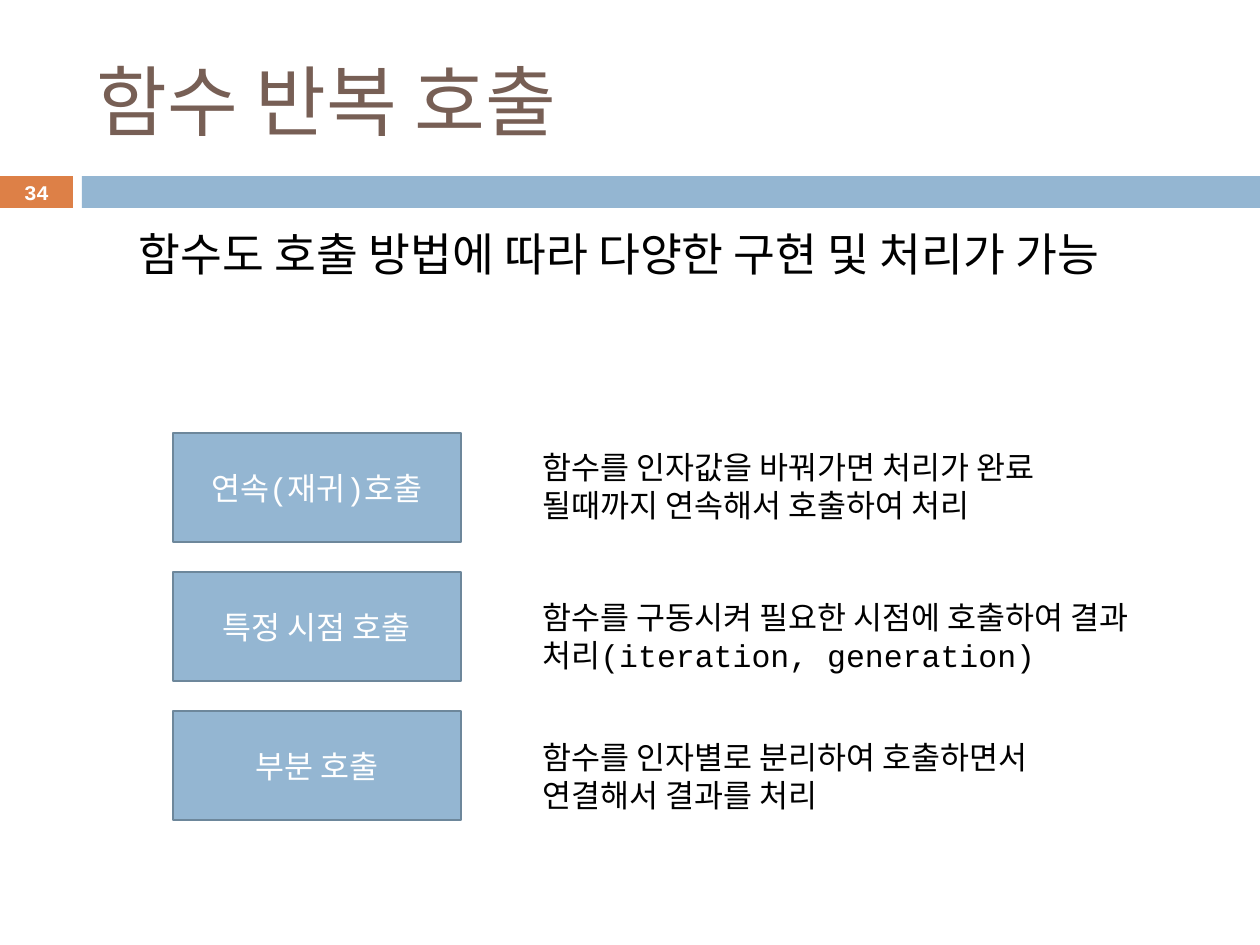
from dataclasses import dataclass

from pptx import Presentation
from pptx.dml.color import RGBColor
from pptx.enum.shapes import MSO_SHAPE
from pptx.enum.text import MSO_ANCHOR as Anchor, MSO_AUTO_SIZE as AutoSize, PP_ALIGN as Align
from pptx.shapes.autoshape import Shape
from pptx.slide import Slide
from pptx.util import Emu, Pt

PX = 914400 / 126
FONT = "Courier New"
WHITE = RGBColor(0xFF, 0xFF, 0xFF)
BLACK = RGBColor(0x00, 0x00, 0x00)
BROWN = RGBColor(0x77, 0x5F, 0x55)
BLUE = RGBColor(0x94, 0xB6, 0xD2)
BLUE_EDGE = RGBColor(0x6D, 0x87, 0x9B)
ORANGE = RGBColor(0xDD, 0x80, 0x47)


@dataclass(frozen=True)
class Area:
    left: int
    top: int
    width: int
    height: int

    def emu(self) -> list[Emu]:
        return [px(n) for n in (self.left, self.top, self.width, self.height)]


@dataclass(frozen=True)
class CallStyle:
    name: str
    description: str
    description_top: int


CALL_STYLES = [
    CallStyle("연속(재귀)호출", "함수를 인자값을 바꿔가면 처리가 완료 될때까지 연속해서 호출하여 처리", 442),
    CallStyle("특정 시점 호출", "함수를 구동시켜 필요한 시점에 호출하여 결과 처리(iteration, generation)", 592),
    CallStyle("부분 호출", "함수를 인자별로 분리하여 호출하면서 연결해서 결과를 처리", 732),
]
FIRST_BOX = Area(173, 433, 288, 109)
BOX_STEP = 139


def px(length: int) -> Emu:
    return Emu(round(length * PX))


def write(shape: Shape, text: str, size: float, color: RGBColor,
          align: Align = Align.LEFT, anchor: Anchor = Anchor.TOP, bold: bool = False) -> None:
    frame = shape.text_frame
    frame.word_wrap = True
    frame.vertical_anchor = anchor
    para = frame.paragraphs[0]
    para.alignment = align
    span = para.add_run()
    span.text = text
    span.font.name = FONT
    span.font.size = Pt(size)
    span.font.bold = bold
    span.font.color.rgb = color


def add_rectangle(slide: Slide, area: Area, fill: RGBColor, edge: RGBColor | None = None) -> Shape:
    box = slide.shapes.add_shape(MSO_SHAPE.RECTANGLE, *area.emu())
    box.shadow.inherit = False
    box.fill.solid()
    box.fill.fore_color.rgb = fill
    if edge is None:
        box.line.fill.background()
    else:
        box.line.color.rgb = edge
        box.line.width = Pt(1.5)
    return box


def add_title(slide: Slide, text: str, area: Area) -> None:
    title = slide.shapes.title
    title.left, title.top, title.width, title.height = area.emu()
    write(title, text, 44, BROWN, anchor=Anchor.MIDDLE)
    title.text_frame.auto_size = AutoSize.NONE


def add_lead(slide: Slide, text: str, area: Area) -> None:
    lead = slide.shapes.add_textbox(*area.emu())
    write(lead, text, 26, BLACK)
    lead.text_frame.margin_left = px(76)
    lead.text_frame.paragraphs[0].space_before = Pt(5.5)


def add_page_number(slide: Slide, number: str, area: Area) -> None:
    box = add_rectangle(slide, area, ORANGE)
    frame = box.text_frame
    frame.margin_left = frame.margin_right = frame.margin_top = frame.margin_bottom = 0
    write(box, number, 11.9, WHITE, Align.CENTER, Anchor.MIDDLE, bold=True)


def add_call_style(slide: Slide, row: int, style: CallStyle) -> None:
    area = Area(FIRST_BOX.left, FIRST_BOX.top + row * BOX_STEP, FIRST_BOX.width, FIRST_BOX.height)
    box = add_rectangle(slide, area, BLUE, BLUE_EDGE)
    write(box, style.name, 18, WHITE, Align.CENTER, Anchor.MIDDLE)
    note = slide.shapes.add_textbox(*Area(530, style.description_top, 625, 89).emu())
    write(note, style.description, 18, BLACK)
    note.text_frame.auto_size = AutoSize.SHAPE_TO_FIT_TEXT


def main() -> None:
    deck = Presentation()
    deck.slide_width, deck.slide_height = px(1260), px(945)
    slide = deck.slides.add_slide(deck.slide_layouts[5])
    add_title(slide, "함수 반복 호출", Area(84, 32, 1124, 136))
    add_page_number(slide, "34", Area(0, 176, 73, 32))
    add_rectangle(slide, Area(82, 176, 1178, 32), BLUE)
    add_lead(slide, "함수도 호출 방법에 따라 다양한 구현 및 처리가 가능", Area(63, 220, 1134, 173))
    for row, style in enumerate(CALL_STYLES):
        add_call_style(slide, row, style)
    deck.save("out.pptx")


if __name__ == "__main__":
    main()
